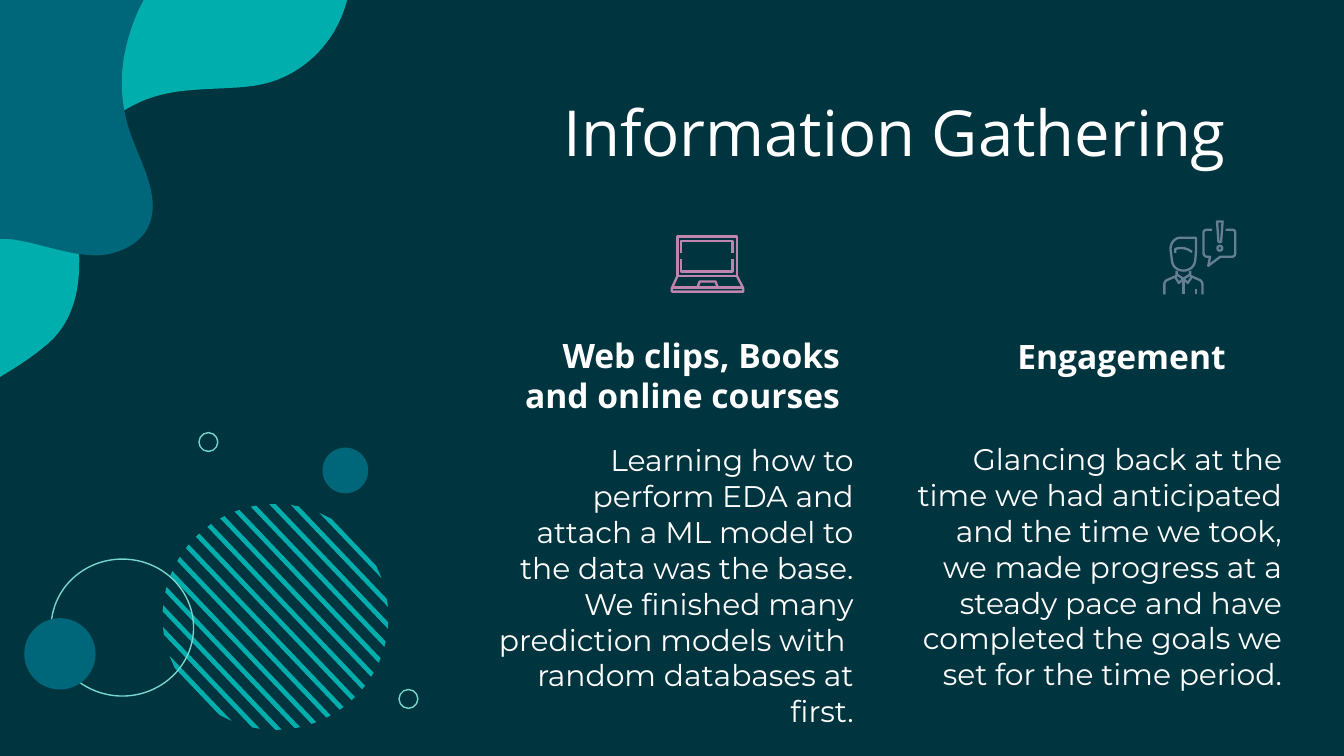
"""Build the "Information Gathering" slide with blobs, circles, icons and two columns."""
from dataclasses import dataclass
from math import atan, cos, sin, sqrt
from typing import Optional

from pptx import Presentation
from pptx import util as u
from pptx.dml.color import RGBColor
from pptx.enum import shapes, text


@dataclass(frozen=True)
class Theme:
    night: str = "00343E"
    teal: str = "00AFAD"
    petrol: str = "00677B"
    mint: str = "77D6CD"
    pink: str = "BF85AE"
    slate: str = "657E93"
    white: str = "FFFFFF"
    heading_font: str = "Open Sans"
    body_font: str = "Montserrat"
    title_size: float = 34
    heading_size: float = 18
    body_size: float = 16
    ring_line: float = 0.75
    icon_line: float = 1.25


@dataclass(frozen=True)
class Contour:
    steps: tuple
    closed: bool = True


@dataclass(frozen=True)
class Circle:
    left: float
    top: float
    width: float
    height: float
    fill: Optional[str] = None
    line: Optional[str] = None


@dataclass(frozen=True)
class Label:
    words: str
    box: tuple
    size: float
    font: str
    bold: bool = False
    after: float = 16


@dataclass(frozen=True)
class Icon:
    color: str
    outlines: tuple
    dots: tuple = ()


THEME = Theme()

BACK_BLOB = Contour((
    (186, 0), (0, 0), (0, 202), (10, 196, 21, 189, 29, 181),
    (40, 169, 42.5, 154, 42.5, 140), (42.5, 137, 42.5, 135, 42, 132.5),
    (42, 124.5, 41, 116.6, 41, 109.5), (41, 101.5, 42, 93.6, 44, 86.4),
    (49, 73.4, 59, 62.6, 70.6, 56.9), (91.4, 45.4, 113.8, 49, 136, 46),
    (160.6, 42.5, 180, 23.8, 186, 0)))
FRONT_BLOB = Contour((
    (0, 0), (0, 128), (1.4, 128, 2.9, 128, 4.3, 128),
    (20, 129.6, 35.3, 136.8, 51.5, 136.8), (63.4, 136.8, 77, 130.3, 80.6, 118.8),
    (85, 105, 77, 90, 72, 77), (64.8, 59.8, 63.4, 42.5, 67.7, 24.5),
    (69.8, 15.8, 72.7, 7.9, 77, 0)))

CIRCLES = (
    Circle(27.4, 299.5, 76.3, 73.4, line=THEME.mint),
    Circle(172.8, 239.8, 24.5, 24.5, fill=THEME.petrol),
    Circle(106.6, 231.8, 10.1, 10.1, line=THEME.mint),
    Circle(213.8, 369.4, 10.1, 10.1, line=THEME.mint),
    Circle(13, 331.2, 38.2, 38.2, fill=THEME.petrol),
)

LAPTOP = Icon(THEME.pink, (
    (Contour(((362.9, 126.7), (394.9, 126.7), (394.9, 148), (362.9, 148))),
     Contour(((362.9, 148), (359.9, 154.4), (359.9, 156.2), (398.2, 156.2),
              (398.2, 154.4), (394.9, 148)), False),
     Contour(((359.9, 154.1), (398.2, 154.1)), False),
     Contour(((373.7, 154.1), (374.8, 150.8), (383.4, 150.8), (384.5, 154.1)), False)),
    (Contour(((365, 139), (365, 145.4), (392.4, 145.4), (392.4, 139)), False),),
    (Contour(((365, 135.4), (365, 129.2), (392.4, 129.2), (392.4, 135.4)), False),),
))
ADVISER = Icon(THEME.slate, (
    (Contour(((629.6, 135.4), (629.6, 133.4), (633, 132.3, 636, 133, 638.6, 135)), False),),
    (Contour(((640.8, 127.4), (632.2, 127.4), (629.6, 127.4, 627.1, 130, 627.1, 133.5),
              (627.8, 139), (628, 147, 640, 147, 640.4, 139), (640.8, 134))),
     Contour(((623.8, 157.7), (623.8, 152.6), (623.8, 151.3, 624.4, 150.4, 625.3, 150),
              (630.4, 147.8), (630.4, 145.1)), False),
     Contour(((637.6, 145.1), (637.6, 147.8), (642.7, 150),
              (643.6, 150.4, 644.2, 151.3, 644.2, 152.6), (644.2, 157.7)), False),
     Contour(((629.6, 148.5), (631.6, 151.6), (634, 149.4), (636.4, 151.6),
              (638.4, 148.5)), False),
     Contour(((630.4, 147), (634, 149.4), (637.6, 147)), False),
     Contour(((634, 149.4), (634, 157.7)), False)),
    (Contour(((640.8, 155), (640.8, 157.7)), False),),
    (Contour(((649.4, 123.1), (646.6, 123.1), (645.5, 123.1, 644.8, 123.8, 644.8, 124.6),
              (644.8, 135.4), (644.8, 136.6, 645.5, 137.5, 646.6, 137.5), (648.3, 137.5),
              (647.3, 142.4), (653.8, 137.5), (660.2, 137.5),
              (661.2, 137.5, 661.8, 136.6, 661.8, 135.4), (661.8, 124.6),
              (661.8, 123.8, 661.2, 123.1, 660.2, 123.1), (656.6, 123.1)), False),),
    (Contour(((652, 118.7), (655, 118.7), (654.2, 129.7), (652.8, 129.7))),),
), (Circle(652.2, 131.7, 2.6, 2.6, line=THEME.slate),))

LABELS = (
    Label("Information Gathering", (263.5, 42.5, 400.3, 82.8),
          THEME.title_size, THEME.heading_font, after=0),
    Label("Learning how to perform EDA and attach a ML model to the data was the base. "
          "We finished many prediction models with  random databases at first.",
          (256.3, 229.7, 208.1, 192.2), THEME.body_size, THEME.body_font),
    Label("Web clips, Books and online courses", (272.2, 172.1, 185, 56.9),
          THEME.heading_size, THEME.heading_font, True),
    Label("Glancing back at the time we had anticipated and the time we took, we made "
          "progress at a steady pace and have completed the goals we set for the time period.",
          (480.2, 229, 213.8, 181.4), THEME.body_size, THEME.body_font),
    Label("Engagement", (519.8, 172.8, 144, 30.2),
          THEME.heading_size, THEME.heading_font, True),
)


def flatten(steps: tuple, pieces: int = 16) -> list:
    """Turn line and cubic curve steps into points in EMU."""
    points = [steps[0]]
    for step in steps[1:]:
        if len(step) == 2:
            points.append(step)
            continue
        controls = (points[-1], step[:2], step[2:4], step[4:])
        for index in range(1, pieces + 1):
            t = index / pieces
            weights = ((1 - t) ** 3, 3 * t * (1 - t) ** 2, 3 * t * t * (1 - t), t ** 3)
            points.append(tuple(sum(w * c[axis] for w, c in zip(weights, controls))
                                for axis in (0, 1)))
    return [(u.Pt(x), u.Pt(y)) for x, y in points]


def paint(shape, fill: Optional[str], line: Optional[str], width: float) -> None:
    """Set fill, line and shadow of a shape."""
    shape.shadow.inherit = False
    if fill:
        shape.fill.solid()
        shape.fill.fore_color.rgb = RGBColor.from_string(fill)
    else:
        shape.fill.background()
    if line:
        shape.line.color.rgb = RGBColor.from_string(line)
        shape.line.width = u.Pt(width)
    else:
        shape.line.fill.background()


def draw_outline(parent, contours: tuple, fill: Optional[str] = None,
                 line: Optional[str] = None) -> None:
    """Draw one freeform made of several contours."""
    outlines = [(flatten(contour.steps), contour.closed) for contour in contours]
    builder = parent.build_freeform(*outlines[0][0][0], scale=1.0)
    for index, (points, closed) in enumerate(outlines):
        if index:
            builder.move_to(*points[0])
        builder.add_line_segments(points[1:], close=closed)
    paint(builder.convert_to_shape(), fill, line, THEME.icon_line)


def draw_circle(parent, circle: Circle, width: float = THEME.ring_line) -> None:
    """Draw an ellipse, filled or as a ring."""
    box = map(u.Pt, (circle.left, circle.top, circle.width, circle.height))
    shape = parent.add_shape(shapes.MSO_SHAPE.OVAL, *box)
    paint(shape, circle.fill, circle.line, width)


def draw_icon(page, icon: Icon) -> None:
    """Draw a line icon as one group."""
    group = page.shapes.add_group_shape()
    for outline in icon.outlines:
        draw_outline(group.shapes, outline, line=icon.color)
    for dot in icon.dots:
        draw_circle(group.shapes, dot, THEME.icon_line)


def stripes(x: float, y: float, radius: float, gap: float, thickness: float,
            slope: float, count: int) -> tuple:
    """Return parallel bands clipped to a circle."""
    along, across = cos(atan(slope)), sin(atan(slope))

    def spot(offset: float, side: int) -> tuple:
        """Return the end of the chord at an offset from the centre."""
        half = side * sqrt(radius ** 2 - offset ** 2)
        return x + half * along - offset * across, y + half * across + offset * along

    middles = [(index - (count - 1) / 2) * gap for index in range(count)]
    edges = [(middle - thickness / 2, middle + thickness / 2) for middle in middles]
    return tuple(Contour((spot(a, -1), spot(a, 1), spot(b, 1), spot(b, -1)))
                 for a, b in edges)


def draw_label(page, label: Label) -> None:
    """Add a right-aligned text box."""
    box = page.shapes.add_textbox(*map(u.Pt, label.box))
    frame = box.text_frame
    frame.word_wrap = True
    frame.vertical_anchor = text.MSO_ANCHOR.TOP
    frame.margin_left = frame.margin_right = u.Pt(7.2)
    frame.margin_top = frame.margin_bottom = u.Pt(7.2)
    para = frame.paragraphs[0]
    para.alignment = text.PP_ALIGN.RIGHT
    para.space_after = u.Pt(label.after)
    span = para.add_run()
    span.text = label.words
    span.font.name, span.font.size, span.font.bold = label.font, u.Pt(label.size), label.bold
    span.font.color.rgb = RGBColor.from_string(THEME.white)


def main() -> None:
    """Build and save the deck."""
    deck = Presentation()
    deck.slide_width, deck.slide_height = u.Pt(720), u.Pt(405)
    page = deck.slides.add_slide(deck.slide_layouts[6])
    page.background.fill.solid()
    page.background.fill.fore_color.rgb = RGBColor.from_string(THEME.night)
    draw_outline(page.shapes, (BACK_BLOB,), fill=THEME.teal)
    draw_outline(page.shapes, (FRONT_BLOB,), fill=THEME.petrol)
    draw_outline(page.shapes, stripes(147.6, 330.5, 60.5, 8.1, 2.5, 1.05, 15), fill=THEME.teal)
    for circle in CIRCLES:
        draw_circle(page.shapes, circle)
    for label in LABELS:
        draw_label(page, label)
    for icon in (LAPTOP, ADVISER):
        draw_icon(page, icon)
    deck.save("out.pptx")


if __name__ == "__main__":
    main()
